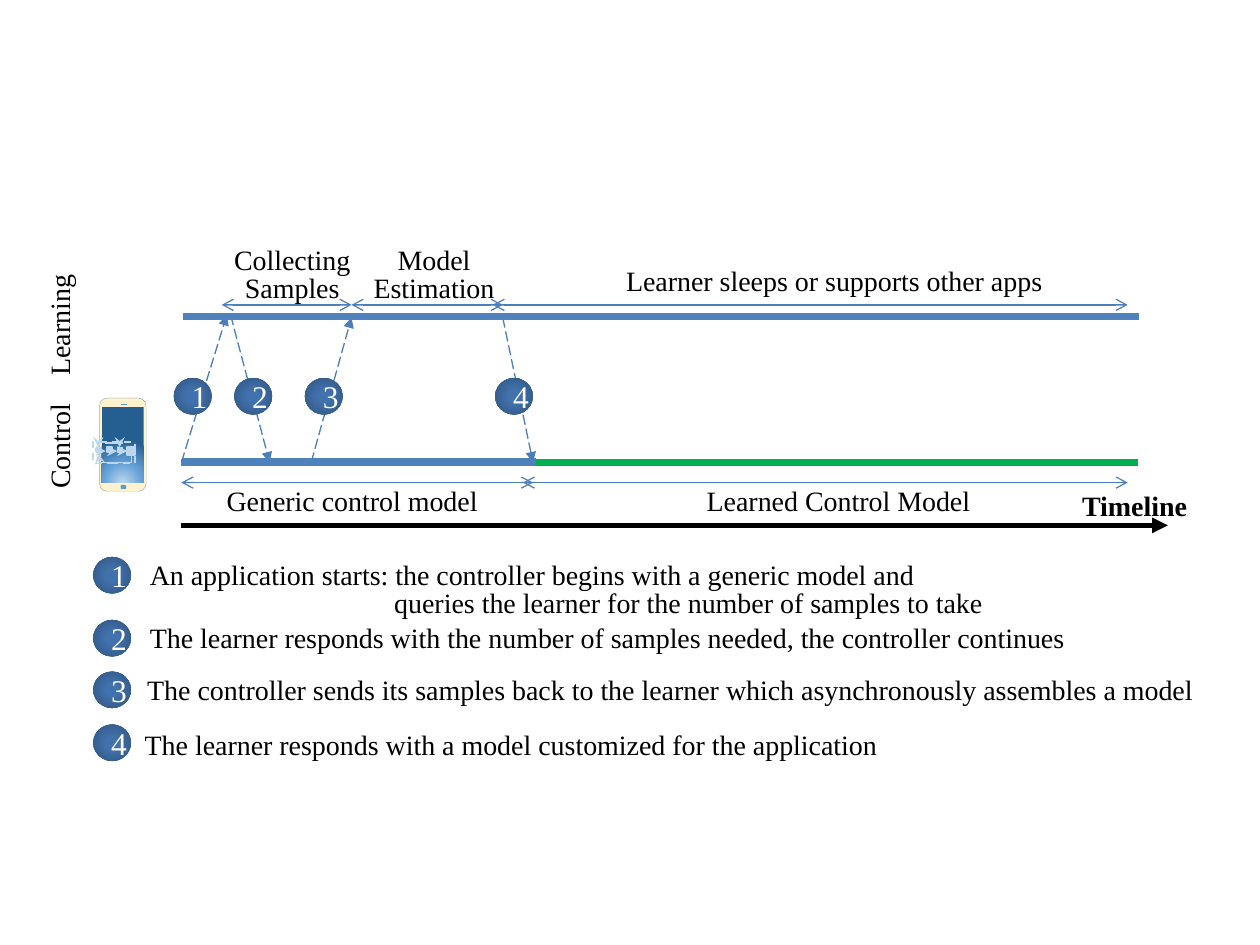
from lxml.etree import SubElement
from pptx import Presentation
from pptx.dml.color import RGBColor
from pptx.enum.dml import MSO_LINE
from pptx.enum.shapes import MSO_CONNECTOR, MSO_SHAPE as SHAPE
from pptx.enum.text import MSO_ANCHOR, MSO_AUTO_SIZE, PP_ALIGN as ALIGN
from pptx.oxml.ns import qn
from pptx.util import Emu, Pt

PX = 9144  # 100 px to the inch
FONT = "Times New Roman"
BLUE, THIN_BLUE, GREEN, PALE = "4F81BD", "4B7EBC", "00B050", "BDD7EE"
BADGE_STOPS = [(0, "4172AD"), (23, "4172AD"), (69, "376092"), (97, "335A88")]
SCREEN_STOPS = [(0, PALE), (46, "63A0D7"), (100, "255E91")]


def px(*values):
    return [Emu(round(value * PX)) for value in values]


def rgb(color):
    return RGBColor.from_string(color)


def style_line(line, color, width, dash=None, head=None, tail=None):
    line.color.rgb = rgb(color)
    line.width = Pt(width)
    if dash:
        line.dash_style = dash
    for tag, kind in (("a:headEnd", head), ("a:tailEnd", tail)):
        if kind:
            SubElement(line._get_or_add_ln(), qn(tag), type=kind)


def add_line(page, x1, y1, x2, y2, color, width, **ends):
    line = page.shapes.add_connector(MSO_CONNECTOR.STRAIGHT, *px(x1, y1, x2, y2))
    SubElement(line._element.spPr, qn("a:effectLst"))
    style_line(line.line, color, width, **ends)


def add_shape(page, kind, x, y, w, h, fill=None, line=None, width=1, dash=None):
    shape = page.shapes.add_shape(kind, *px(x, y, w, h))
    shape.shadow.inherit = False
    if fill:
        shape.fill.solid()
        shape.fill.fore_color.rgb = rgb(fill)
    else:
        shape.fill.background()
    if line:
        style_line(shape.line, line, width, dash)
    else:
        shape.line.fill.background()
    return shape


def radial_fill(shape, stops, top=50, bottom=50):
    """Give the shape a circular gradient around the given focus."""
    properties = shape._element.spPr
    old = properties.find(qn("a:noFill"))
    gradient = SubElement(properties, qn("a:gradFill"), rotWithShape="1")
    properties.replace(old, gradient)
    stop_list = SubElement(gradient, qn("a:gsLst"))
    for position, color in stops:
        stop = SubElement(stop_list, qn("a:gs"), pos=str(position * 1000))
        SubElement(stop, qn("a:srgbClr"), val=color)
    focus = SubElement(gradient, qn("a:path"), path="circle")
    SubElement(focus, qn("a:fillToRect"), l="50000", r="50000",
               t=str(top * 1000), b=str(bottom * 1000))


def format_span(span, size=16, color="000000", bold=False):
    span.font.name = FONT
    span.font.size = Pt(size)
    span.font.bold = bold
    span.font.color.rgb = rgb(color)


def add_text(page, text, x, y, w, h, align=ALIGN.LEFT, spacing=16, bold=False,
             rotation=0, hanging=0):
    """Place one paragraph per line; hanging indents the lines after the first."""
    box = page.shapes.add_textbox(*px(x, y, w, h))
    box.rotation = rotation
    frame = box.text_frame
    frame.word_wrap = False
    frame.auto_size = MSO_AUTO_SIZE.SHAPE_TO_FIT_TEXT
    for index, words in enumerate(text.split("\n")):
        para = frame.add_paragraph() if index else frame.paragraphs[0]
        para.alignment = align
        if spacing:
            para.line_spacing = Pt(spacing)
        if index and hanging:
            properties = para._p.get_or_add_pPr()
            properties.set("marL", str(hanging * PX))
            properties.set("indent", "0")
        span = para.add_run()
        span.text = words
        format_span(span, bold=bold)


def add_badge(page, number, x, y):
    badge = add_shape(page, SHAPE.OVAL, x, y, 30, 29)
    radial_fill(badge, BADGE_STOPS)
    frame = badge.text_frame
    frame.vertical_anchor = MSO_ANCHOR.MIDDLE
    para = frame.paragraphs[0]
    para.alignment = ALIGN.CENTER
    span = para.add_run()
    span.text = str(number)
    format_span(span, size=18, color="FFFFFF")


def draw_timeline(page, left, top):
    """Two lanes: learning at the top, control 116 px below it."""
    control = top + 116
    end = left + 759

    # Time axis
    add_line(page, left, control + 50, left + 783, control + 50, "000000", 3,
             tail="triangle")
    add_text(page, "Timeline", left + 704, control + 16, 105, 37,
             ALIGN.CENTER, spacing=None, bold=True)

    # Control lane, below the messages
    add_line(page, left, control, end, control, BLUE, 4)

    # Messages between the lanes, with their numbers
    messages = [(0, 116, 36, -1, -6), (39, -1, 70, 116, 42),
                (103, 116, 135, 1, 98), (255, 1, 279, 116, 249)]
    for x1, y1, x2, y2, _ in messages:
        add_line(page, left + x1, top + y1, left + x2, top + y2, THIN_BLUE, 0.75,
                 dash=MSO_LINE.LONG_DASH, tail="triangle")
    for number, message in enumerate(messages, 1):
        add_badge(page, number, left + message[-1], top + 49)

    # Phases as double arrows
    phases = [(0, 279, 132), (271, 751, 132),
              (32, 135, -9), (135, 255, -9), (247, 751, -9)]
    for start, stop, y in phases:
        add_line(page, left + start, top + y, left + stop, top + y, THIN_BLUE, 0.75,
                 head="arrow", tail="arrow")

    # Phase names
    names = [("Generic control model", 26, 132, 223, 33, ALIGN.LEFT),
             ("Learned Control Model", 407, 132, 232, 33, ALIGN.LEFT),
             ("Learner sleeps or supports other apps", 343, -42, 365, 33, ALIGN.LEFT),
             ("Model\nEstimation", 140, -59, 121, 55, ALIGN.CENTER),
             ("Collecting\nSamples", 31, -59, 114, 55, ALIGN.CENTER)]
    for text, x, y, w, h, align in names:
        add_text(page, text, left + x, top + y, w, h, align)

    # Lane bars, on top of the messages
    add_line(page, left + 1, top, end + 1, top, BLUE, 4)
    add_line(page, left + 280, control, end, control, GREEN, 4)
    add_line(page, left + 1, control - 1, left + 281, control - 1, BLUE, 4)


def draw_lane_names(page, center, top):
    for text, offset in (("Learning", 0), ("Control", 96)):
        add_text(page, text, center - 60, top + offset, 120, 32, ALIGN.CENTER,
                 rotation=270)


def draw_legend(page, left, top):
    steps = [
        ("An application starts: the controller begins with a generic model and\n"
         "queries the learner for the number of samples to take", 0, 35, 0, 692, 55),
        ("The learner responds with the number of samples needed, "
         "the controller continues", 50, 35, 50, 769, 33),
        ("The controller sends its samples back to the learner "
         "which asynchronously assembles a model", 91, 33, 91, 873, 33),
        ("The learner responds with a model customized for the application",
         133, 31, 135, 617, 33),
    ]
    for number, (text, badge_y, x, y, w, h) in enumerate(steps, 1):
        add_badge(page, number, left, top + badge_y)
        add_text(page, text, left + x, top + y, w, h, hanging=194)


def draw_phone(page, left, top):
    # Body, screen, button and speaker
    add_shape(page, SHAPE.ROUNDED_RECTANGLE, left + 5, top, 37, 74,
              "FFF2CC", "43739E", 0.1)
    screen = add_shape(page, SHAPE.RECTANGLE, left + 7, top + 7, 33, 60)
    radial_fill(screen, SCREEN_STOPS, top=130, bottom=-30)
    add_shape(page, SHAPE.ROUNDED_RECTANGLE, left + 22, top + 69, 4, 3,
              "5B9BD5", "5B9BD5", 0.1)
    add_line(page, left + 22, top + 5, left + 27, top + 5, "5B9BD5", 0.5)

    # Control loop: blocks, feedback path and arrows
    blocks = [(SHAPE.RECTANGLE, 11, 39, 4, 4, 1), (SHAPE.OVAL, 2, 39, 4, 4, 1),
              (SHAPE.RECTANGLE, 19, 39, 4, 4, 0.5), (SHAPE.RECTANGLE, 27, 39, 6, 6, 1),
              (SHAPE.RECTANGLE, 10, 35, 13, 1, 0.5)]
    for kind, x, y, w, h, width in blocks:
        add_shape(page, kind, left + x, top + y, w, h, PALE, PALE, width)
    add_shape(page, SHAPE.OVAL, left + 29, top + 41, 2, 2, "AFDEE2")

    outline = page.shapes.build_freeform(left + 30, top + 44, scale=PX)
    outline.add_line_segments([(left + 30, top + 51), (left + 4, top + 51),
                               (left + 4, top + 44)], close=False)
    feedback = outline.convert_to_shape()
    feedback.shadow.inherit = False
    feedback.fill.background()
    style_line(feedback.line, PALE, 0.5, tail="stealth")

    for x1, y1, x2, y2 in [(21, 36, 21, 39), (4, 35, 4, 39), (6, 42, 10, 42),
                           (15, 42, 19, 42), (23, 42, 27, 42)]:
        add_line(page, left + x1, top + y1, left + x2, top + y2, PALE, 0.5,
                 tail="stealth")
    add_shape(page, SHAPE.RECTANGLE, left, top + 35, 33, 17, None, PALE, 1,
              MSO_LINE.DASH)
    add_shape(page, SHAPE.RECTANGLE, left + 28, top + 40, 3, 3, PALE)


def main():
    deck = Presentation()
    deck.slide_width, deck.slide_height = px(1000, 750)
    page = deck.slides.add_slide(deck.slide_layouts[6])
    draw_timeline(page, 144, 251)
    draw_legend(page, 74, 442)
    draw_lane_names(page, 49, 242)
    draw_phone(page, 74, 316)
    deck.save("out.pptx")


if __name__ == "__main__":
    main()
